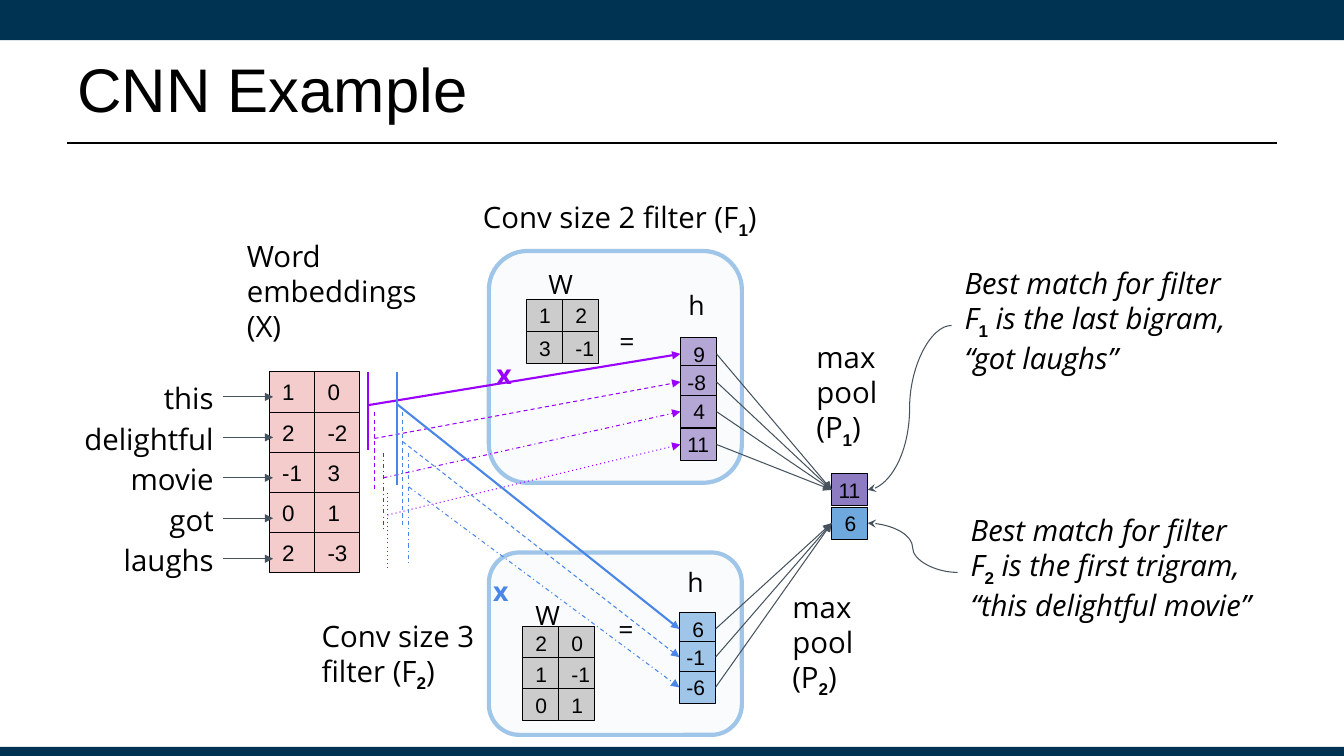
import lxml.etree
import pptx
import pptx.dml.color
import pptx.enum.shapes
import pptx.enum.text
import pptx.oxml.ns
import pptx.util

Pt = pptx.util.Pt
SHAPE = pptx.enum.shapes.MSO_SHAPE
CONNECTOR = pptx.enum.shapes.MSO_CONNECTOR
ALIGN = pptx.enum.text.PP_ALIGN
ANCHOR = pptx.enum.text.MSO_ANCHOR
NAVY, BLACK, SLATE = "003252", "000000", "46535E"
PURPLE, BLUE = "9900FF", "4A86E8"
INSET = 9.36
CELL_W, CELL_H = 25.8, 23
ROW_H = 28.7
DASHES = ["solid", "dash", "dashDot", "dot"]


def color(hex_string):
    return pptx.dml.color.RGBColor.from_string(hex_string)


def add_xml(parent, tag, **attrs):
    return lxml.etree.SubElement(parent, pptx.oxml.ns.qn(tag), attrs)


def set_all(target, values):
    for name, value in values.items():
        setattr(target, name, value)


def format_run(r, size, font, hex_string=BLACK, **styles):
    set_all(r.font, {"size": Pt(size), "name": font, **styles})
    r.font.color.rgb = color(hex_string)


def set_frame(tf, insets, anchor):
    left, top, right, bottom = insets
    set_all(tf, {"word_wrap": True, "vertical_anchor": anchor,
                 "margin_left": Pt(left), "margin_top": Pt(top),
                 "margin_right": Pt(right), "margin_bottom": Pt(bottom)})


def add_block(s, box, fill, line=None, width=0.75, kind=SHAPE.RECTANGLE):
    sp = s.shapes.add_shape(kind, *map(Pt, box))
    sp.shadow.inherit = False
    sp.fill.solid()
    sp.fill.fore_color.rgb = color(fill)
    if line:
        sp.line.color.rgb = color(line)
        sp.line.width = Pt(width)
    else:
        sp.line.fill.background()
    return sp


def add_cell(s, box, value, fill, size=15, inset=INSET):
    sp = add_block(s, box, fill, BLACK)
    set_frame(sp.text_frame, (inset, 0, 0, 0), ANCHOR.MIDDLE)
    p = sp.text_frame.paragraphs[0]
    p.alignment = ALIGN.LEFT
    r = p.add_run()
    r.text = str(value)
    format_run(r, size, "Arial")
    return sp


def add_grid(s, box, rows, fill, size=15, pitch=None):
    left, top, width, height = box
    for i, row in enumerate(rows):
        for j, value in enumerate(row):
            cell = (left + j * width, top + i * (pitch or height), width, height)
            add_cell(s, cell, value, fill, size)


def add_column(s, left, tops, values, fills):
    """Stack of result cells; two-character values get a smaller inset."""
    return [add_cell(s, (left, top, CELL_W, CELL_H), value, fill,
                     inset=5 if len(str(value)) > 1 else INSET)
            for top, value, fill in zip(tops, values, fills)]


def add_label(s, box, text, size=21, hex_string=BLACK, align=ALIGN.LEFT, anchor=ANCHOR.TOP,
              spacing=None, inset=INSET, **styles):
    """Text box; the character after an underscore becomes a bold subscript."""
    sp = s.shapes.add_textbox(*map(Pt, box))
    tf = sp.text_frame
    set_frame(tf, (INSET, inset, inset, inset), anchor)
    for i, line in enumerate(text.split("\n")):
        p = tf.add_paragraph() if i else tf.paragraphs[0]
        set_all(p, {"alignment": align, "line_spacing": spacing})
        before, mark, after = line.partition("_")
        for part, is_sub in ((before, False), (after[:1], True), (after[1:], False)):
            if not part:
                continue
            r = p.add_run()
            r.text = part
            if is_sub:
                format_run(r, size, "Arial", hex_string, bold=True)
                r.font._element.set("baseline", "-25000")
            else:
                format_run(r, size, "Open Sans", hex_string, **styles)
    return sp


def add_line(s, start, end, hex_string=SLATE, width=0.75, dash="solid", tail=None,
             kind=CONNECTOR.STRAIGHT):
    """Each end is an (x, y) point or a (shape, side) joint."""
    points = [(0, 0) if hasattr(e[0], "shape_id") else e for e in (start, end)]
    c = s.shapes.add_connector(kind, *[Pt(v) for point in points for v in point])
    if hasattr(start[0], "shape_id"):
        c.begin_connect(*start)
    if hasattr(end[0], "shape_id"):
        c.end_connect(*end)
    c.line.color.rgb = color(hex_string)
    c.line.width = Pt(width)
    ln = c.line._get_or_add_ln()
    add_xml(ln, "a:prstDash", val=dash)
    if tail:
        add_xml(ln, "a:tailEnd", type=tail)
    add_xml(c._element.spPr, "a:effectLst")


def draw_frame(s, box):
    left, top, width, height = box
    add_block(s, (left, top, width, 28.8), NAVY)
    add_block(s, (left, top + height - 6.5, width, 6.5), NAVY)
    add_line(s, (left + 48, top + 102.2), (left + width - 48, top + 102.2), BLACK, 1.25)
    title = s.shapes.title
    set_all(title, {"left": Pt(left + 48), "top": Pt(top + 18),
                    "width": Pt(width - 96), "height": Pt(90)})
    set_frame(title.text_frame, (7.2, 3.6, 7.2, 3.6), ANCHOR.MIDDLE)
    p = title.text_frame.paragraphs[0]
    p.alignment = ALIGN.LEFT
    r = p.add_run()
    r.text = "CNN Example"
    format_run(r, 44, "Arial")


def draw_embeddings(s, box):
    left, top, width, height = box
    rows = [(1, 0), (2, -2), (-1, 3), (0, 1), (2, -3)]
    add_grid(s, (left, top, width / 2, height / len(rows)), rows, "F4CCCC", size=16)
    add_label(s, (left - 25.2, top - 105, 145.4, 97), "Word embeddings (X)")
    add_label(s, (left - 144, top - 7.2, 113.8, 143.3),
              "this\ndelightful\nmovie\ngot\nlaughs", align=ALIGN.RIGHT, spacing=1.15)
    for i in range(len(rows)):
        y = top + 17.8 + i * 28.9
        add_line(s, (left - 33.1, y), (left + 2.9, y), tail="triangle")


def draw_filter(s, box, weights, weights_at, pitch, h_left, h_tops, h_values, h_fill, hue, signs):
    """Panel with weights W and result column h; returns the cells of h."""
    left, top = box[:2]
    panel = add_block(s, box, "CFE2F3", "9FC5E8", 3, SHAPE.ROUNDED_RECTANGLE)
    tint = panel.fill._xPr.find(".//" + pptx.oxml.ns.qn("a:srgbClr"))
    add_xml(tint, "a:alpha", val="11000")
    grid = (left + weights_at[0], top + weights_at[1], CELL_W, CELL_H)
    add_grid(s, grid, weights, "CCCCCC", pitch=pitch)
    middle = {"align": ALIGN.CENTER, "anchor": ANCHOR.MIDDLE}
    looks = {"W": (72, 16.6, {"inset": 0}),
             "h": (31.7, 43.2, {}),
             "x": (72, 16.6, {**middle, "hex_string": hue, "bold": True}),
             "=": (72, 16.6, middle)}
    for sign, (dx, dy) in signs.items():
        width, height, look = looks[sign]
        add_label(s, (left + dx, top + dy, width, height), sign, 19, **look)
    return add_column(s, left + h_left, [top + y for y in h_tops], h_values,
                      [h_fill] * len(h_values))


def draw_windows(s, box, starts, span, cells, hue):
    """Bars sliding down the embedding rows, each with an arrow to its result."""
    left, top = box[:2]
    for i, ((dx, dy), cell, dash) in enumerate(zip(starts, cells, DASHES)):
        x, bar_top = left + dx, top + i * 28.8
        look = {"hex_string": hue, "width": 0.75 if i else 1.5, "dash": dash}
        add_line(s, (x, bar_top), (x, bar_top + span), **look)
        add_line(s, (x, top + dy), (cell, 1), tail="triangle", **look)


def draw_pool(s, box, columns):
    left, top = box[:2]
    pooled = add_column(s, left, (top, top + 23.8), (11, 6), ("8E7CC3", "6FA8DC"))
    notes = [((85.7, -158.4), "Best match for filter F_1 is the last bigram, “got laughs”"),
             ((90, 18), "Best match for filter F_2 is the first trigram, “this delightful movie”")]
    for cell, column, ((dx, dy), text) in zip(pooled, columns, notes):
        for h_cell in column:
            add_line(s, (h_cell, 3), (cell, 1), tail="triangle")
        note = add_label(s, (left + dx, top + dy, 222.5, 105), text, italic=True)
        add_line(s, (note, 1), (cell, 3), tail="stealth", kind=CONNECTOR.CURVE)
    add_label(s, (left - 20.2, top - 105.8, 64, 80.6), "max pool (P_1)")
    add_label(s, (left - 37.4, top + 72.7, 64, 77), "max pool (P_2)")


def main():
    prs = pptx.Presentation()
    prs.slide_width, prs.slide_height = Pt(960), Pt(540)
    s = prs.slides.add_slide(prs.slide_layouts[5])
    draw_frame(s, (0, 0, 960, 540))
    embeddings = (192.2, 265.7, 64.8, 5 * ROW_H)
    draw_embeddings(s, embeddings)

    bigram = draw_filter(
        s, (349.2, 179.3, 180.7, 165.6), [(1, 2), (3, -1)], (26.6, 34.5), 23,
        136.8, (62, 82, 103.2, 126.7), (9, -8, 4, 11), "B4A7D6", PURPLE,
        {"W": (33.1, 12.2), "h": (133.2, 18), "x": (-25.2, 79.2), "=": (62.6, 56.1)})
    trigram = draw_filter(
        s, (349.2, 394.6, 180.7, 130.3), [(2, 0), (1, -1), (0, 1)], (23.8, 53.2), 22,
        136.1, (43.2, 63.3, 84.9), (6, -1, -6), "9FC5E8", BLUE,
        {"W": (23.8, 33.1), "h": (132.5, 0), "x": (-27.4, 19.4), "=": (61.9, 46)})
    add_label(s, (335.5, 133.2, 222.5, 38.9), "Conv size 2 filter (F_1)")
    add_label(s, (220.3, 432, 128.9, 77.8), "Conv size 3 filter (F_2)")

    draw_windows(s, embeddings, [(70.8, 23.7), (75.2, 47.5), (81.6, 75.6), (84.6, 102.2)],
                 55.6, bigram, PURPLE)
    draw_windows(s, embeddings, [(91.4, 23), (95.4, 49.7), (99.8, 82.1)], 80.6, trigram, BLUE)
    draw_pool(s, (594, 338.4, CELL_W, 46.8), [bigram, trigram])
    prs.save("out.pptx")


if __name__ == "__main__":
    main()
